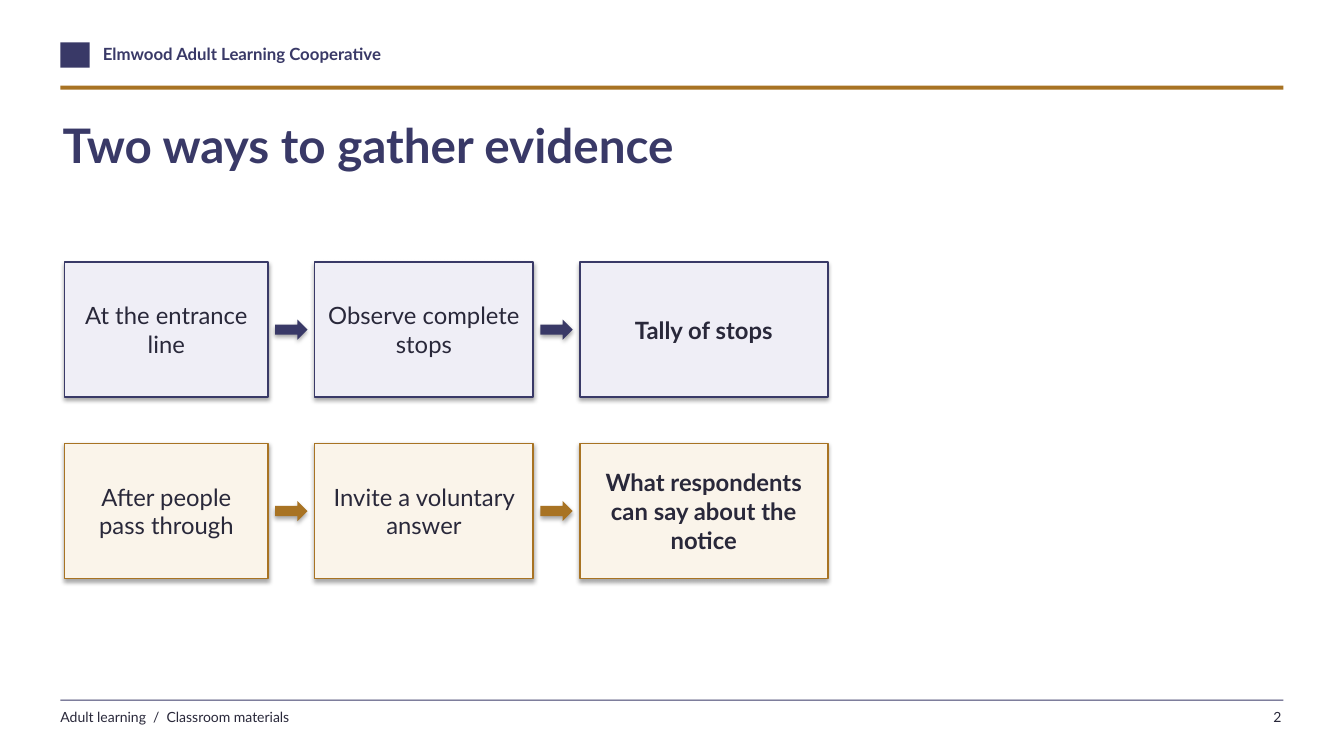
from pptx import Presentation
from pptx.dml.color import RGBColor
from pptx.enum.shapes import MSO_SHAPE
from pptx.enum.text import MSO_ANCHOR, MSO_AUTO_SIZE, PP_ALIGN
from pptx.util import Inches, Pt

HUES = {"navy": "393967", "gold": "A87323", "ink": "29283A",
        "lilac": "EFEEF6", "cream": "FAF4EA", "white": "FFFFFF"}
FONT = "Lato"
LEFT, WIDE = 0.6, 12.13

STEPS = [
    ("navy", "lilac", ["At the entrance line", "Observe complete stops",
                       "Tally of stops"]),
    ("gold", "cream", ["After people pass through", "Invite a voluntary answer",
                       "What respondents can say about the notice"]),
]
WIDTHS = [2.02, 2.17, 2.46]


def hue(name):
    return RGBColor.from_string(HUES[name])


def write(frame, text, size, color, bold=False, align=PP_ALIGN.LEFT,
          anchor=MSO_ANCHOR.TOP, pad=(0, 0), fit=MSO_AUTO_SIZE.NONE):
    side, edge = (Inches(n) for n in pad)
    form = {"margin_left": side, "margin_right": side, "margin_top": edge,
            "margin_bottom": edge, "word_wrap": True, "auto_size": fit,
            "vertical_anchor": anchor}
    for key, value in form.items():
        setattr(frame, key, value)
    frame.text = text
    para = frame.paragraphs[0]
    para.alignment = align
    font = para.runs[0].font
    for key, value in {"name": FONT, "size": Pt(size), "bold": bold}.items():
        setattr(font, key, value)
    font.color.rgb = hue(color)


def label(slide, box, text, size, color, **form):
    area = slide.shapes.add_textbox(*map(Inches, box))
    write(area.text_frame, text, size, color,
          fit=MSO_AUTO_SIZE.SHAPE_TO_FIT_TEXT, **form)


def block(slide, box, fill, line=None, kind=MSO_SHAPE.RECTANGLE, shadow=False):
    shape = slide.shapes.add_shape(kind, *map(Inches, box))
    shape.fill.solid()
    shape.fill.fore_color.rgb = hue(fill)
    if line:
        shape.line.color.rgb = hue(line)
        shape.line.width = Pt(1.2)
    else:
        shape.line.fill.background()
    if not shadow:
        shape.shadow.inherit = False
    return shape


def header(slide, left, top, width):
    # Plain marker, name and rule
    block(slide, (left, top, 0.29, 0.25), "navy")
    label(slide, (left + 0.42, top + 0.01, 6, 0.28),
          "Elmwood Adult Learning Cooperative", 12, "navy", bold=True)
    block(slide, (left, top + 0.43, width, 0.04), "gold")


def footer(slide, left, top, width):
    # Rule, source line and page number
    block(slide, (left, top, width, 0.01), "navy")
    label(slide, (left, top + 0.09, 7, 0.23),
          "Adult learning  /  Classroom materials", 10, "ink")
    label(slide, (left + width - 0.82, top + 0.09, 0.8, 0.25), "2", 10, "ink",
          align=PP_ALIGN.RIGHT)


def heading(slide, box, text):
    title = slide.shapes.title
    for key, value in zip(("left", "top", "width", "height"), box):
        setattr(title, key, Inches(value))
    write(title.text_frame, text, 34, "navy", bold=True)


def flow(slide, left, top, height, tone, fill, steps):
    # Cards with an arrow centred in each gap; the last card is bold
    gap, long, thick = 0.46, 0.32, 0.2
    last = len(steps) - 1
    for i, (text, width) in enumerate(zip(steps, WIDTHS)):
        card = block(slide, (left, top, width, height), fill, tone, shadow=True)
        write(card.text_frame, text, 17, "ink", bold=i == last,
              align=PP_ALIGN.CENTER, anchor=MSO_ANCHOR.MIDDLE, pad=(0.12, 0.05))
        left += width
        if i < last:
            block(slide, (left + (gap - long) / 2, top + (height - thick) / 2,
                          long, thick), tone,
                  kind=MSO_SHAPE.RIGHT_ARROW, shadow=True)
        left += gap


def main():
    deck = Presentation()
    deck.slide_width, deck.slide_height = Inches(13.33), Inches(7.5)
    slide = deck.slides.add_slide(deck.slide_layouts[5])
    slide.background.fill.solid()
    slide.background.fill.fore_color.rgb = hue("white")

    header(slide, LEFT, 0.42, WIDE)
    heading(slide, (0.62, 1.15, 12, 1.05), "Two ways to gather evidence")
    for row, (tone, fill, steps) in enumerate(STEPS):
        flow(slide, 0.64, 2.6 + 1.8 * row, 1.34, tone, fill, steps)
    footer(slide, LEFT, 6.94, WIDE)
    deck.save("out.pptx")


if __name__ == "__main__":
    main()
